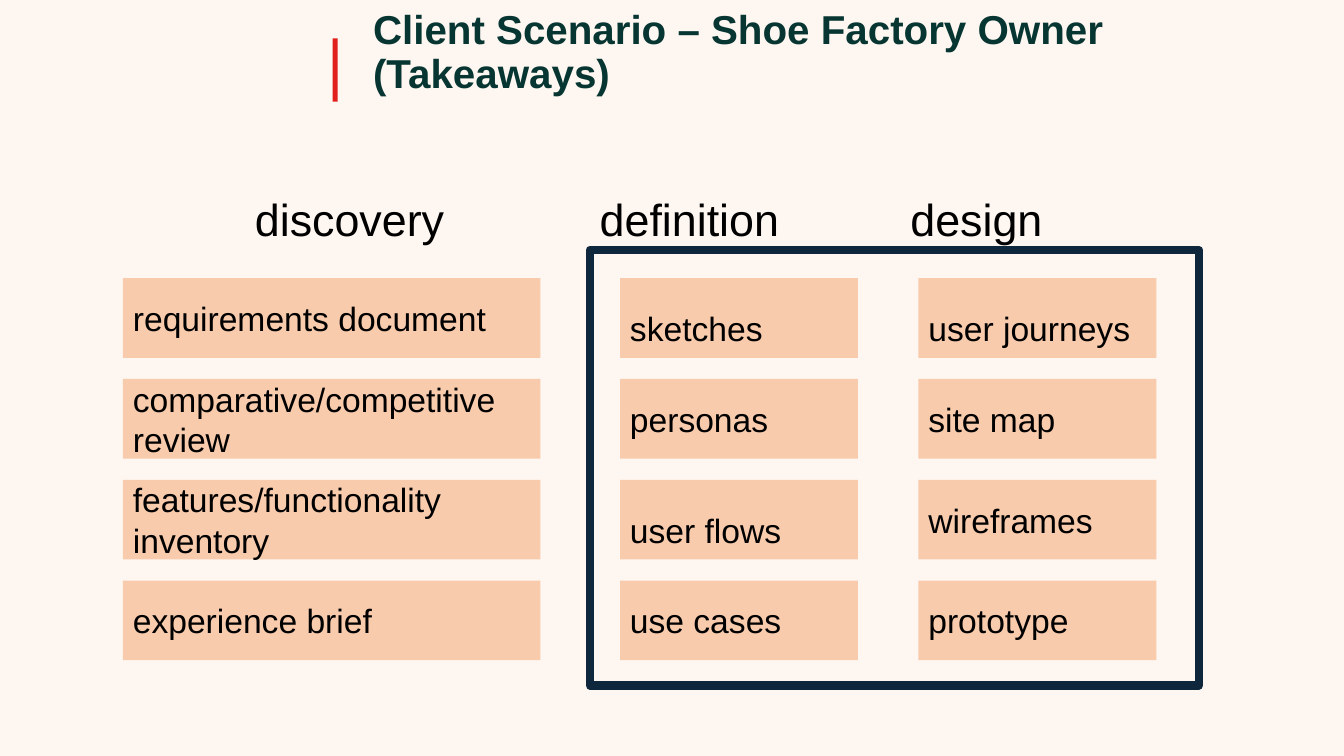
import pptx
import pptx.util
import pptx.dml.color
import pptx.enum.shapes
import pptx.enum.text
import lxml.etree

Inches = pptx.util.Inches
Align = pptx.enum.text.PP_ALIGN
Anchor = pptx.enum.text.MSO_ANCHOR

HUES = {
    "page": "FEF6F0",
    "title": "063532",
    "accent": "E11F1C",
    "card": "F8CBAD",
    "text": "000000",
    "frame": "0F273D",
}
FONT = "Arial"

# Grid of cards, in inches
TOP, PITCH, HIGH = 2.76, 1.0, 0.79
HEAD_TOP, HEAD_WIDE, HEAD_HIGH = 1.85, 2.17, 0.63

# Heading, its left edge and alignment, card left edge and width, cards
STAGES = [
    ("discovery", 2.43, Align.LEFT, 1.22, 4.14,
     ["requirements document", "comparative/competitive\nreview",
      "features/functionality\ninventory", "experience brief"]),
    ("definition", 5.85, Align.LEFT, 6.15, 2.36,
     ["sketches", "personas", "user flows", "use cases"]),
    ("design", 8.6, Align.CENTER, 9.11, 2.36,
     ["user journeys", "site map", "wireframes", "prototype"]),
]
LOOSE = {"sketches", "user flows", "user journeys"}


def hue(name):
    return pptx.dml.color.RGBColor.from_string(HUES[name])


def style(para, size, color="text", bold=False, align=Align.LEFT):
    para.alignment = align
    font = para.font
    font.name, font.size, font.bold = FONT, pptx.util.Pt(size), bold
    font.color.rgb = hue(color)


def add_box(slide, left, top, wide, high, fill=None):
    box = slide.shapes.add_shape(
        pptx.enum.shapes.MSO_SHAPE.RECTANGLE,
        Inches(left), Inches(top), Inches(wide), Inches(high))
    box.shadow.inherit = False
    box.line.fill.background()
    if fill:
        box.fill.solid()
        box.fill.fore_color.rgb = hue(fill)
    else:
        box.fill.background()
    return box


def add_card(slide, text, left, top, wide):
    frame = add_box(slide, left, top, wide, HIGH, "card").text_frame
    frame.word_wrap = False
    frame.vertical_anchor = Anchor.MIDDLE
    frame.text = text
    for para in frame.paragraphs:
        style(para, 24)
        if text in LOOSE:
            para.line_spacing = 1.5


def add_head(slide, text, left, align):
    box = slide.shapes.add_textbox(
        Inches(left), Inches(HEAD_TOP), Inches(HEAD_WIDE), Inches(HEAD_HIGH))
    frame = box.text_frame
    frame.word_wrap = True
    frame.text = text
    style(frame.paragraphs[0], 32, align=align)


def set_title(slide, text):
    title = slide.shapes.title
    title.left, title.top = Inches(3.6), Inches(0.18)
    title.width, title.height = Inches(9.41), Inches(0.83)
    frame = title.text_frame
    frame.word_wrap = True
    frame.auto_size = pptx.enum.text.MSO_AUTO_SIZE.NONE
    frame.vertical_anchor = Anchor.BOTTOM
    frame.text = text
    para = frame.paragraphs[0]
    para.line_spacing = 0.9
    style(para, 28.8, "title", bold=True)


def main():
    deck = pptx.Presentation()
    deck.slide_width, deck.slide_height = Inches(13.33), Inches(7.5)
    slide = deck.slides.add_slide(deck.slide_layouts[5])
    slide.background.fill.solid()
    slide.background.fill.fore_color.rgb = hue("page")

    # Title and accent bar
    add_box(slide, 3.3, 0.38, 0.05, 0.63, "accent")
    set_title(slide, "Client Scenario – Shoe Factory Owner (Takeaways)")

    # Stages with their cards
    for head, start, align, left, wide, cards in STAGES:
        add_head(slide, head, start, align)
        for row, text in enumerate(cards):
            add_card(slide, text, left, TOP + row * PITCH, wide)

    # Frame around definition and design
    frame = add_box(slide, 5.85, 2.48, 6.04, 4.32)
    frame.line.color.rgb = hue("frame")
    frame.line.width = pptx.util.Pt(6)

    deck.save("out.pptx")


if __name__ == "__main__":
    main()
